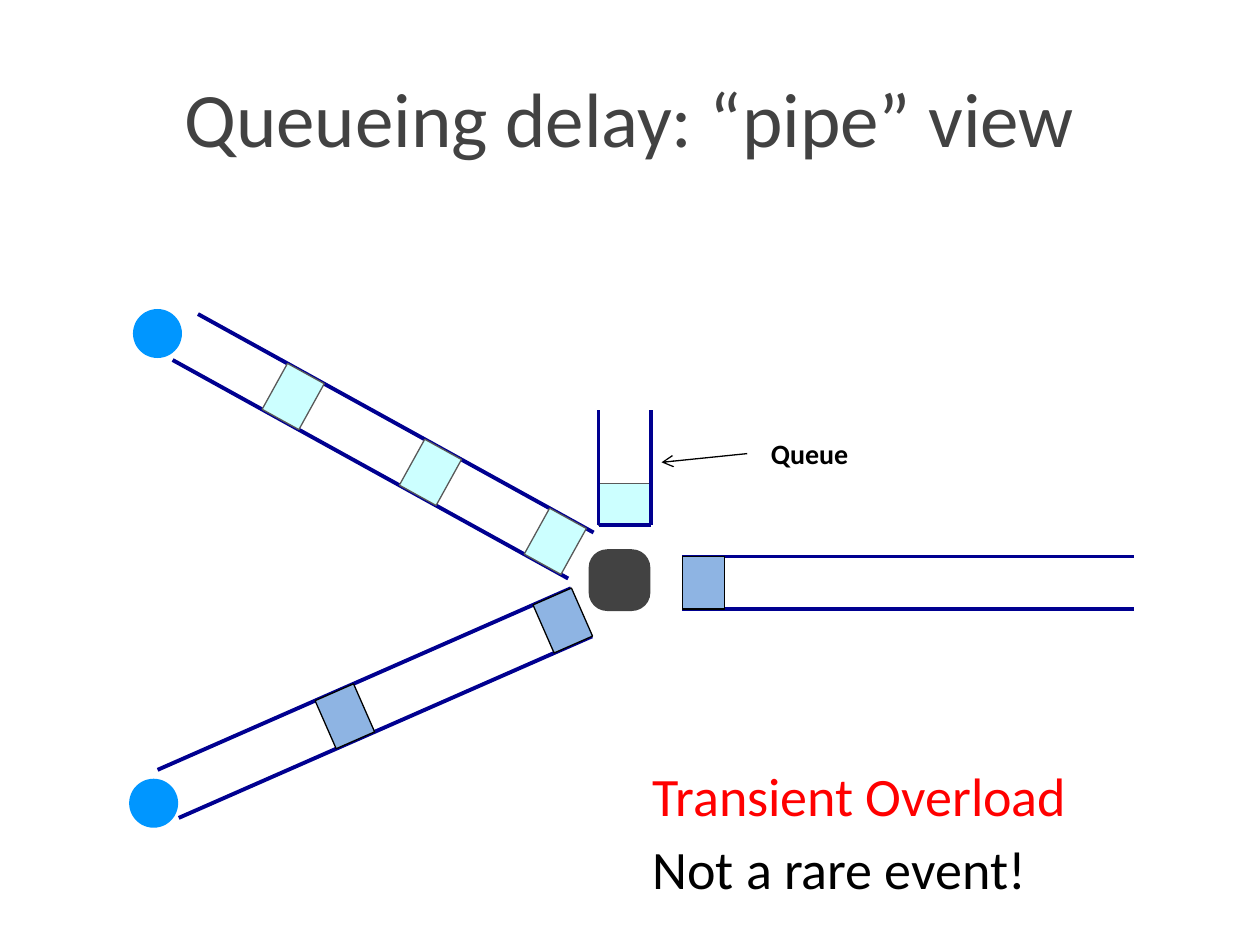
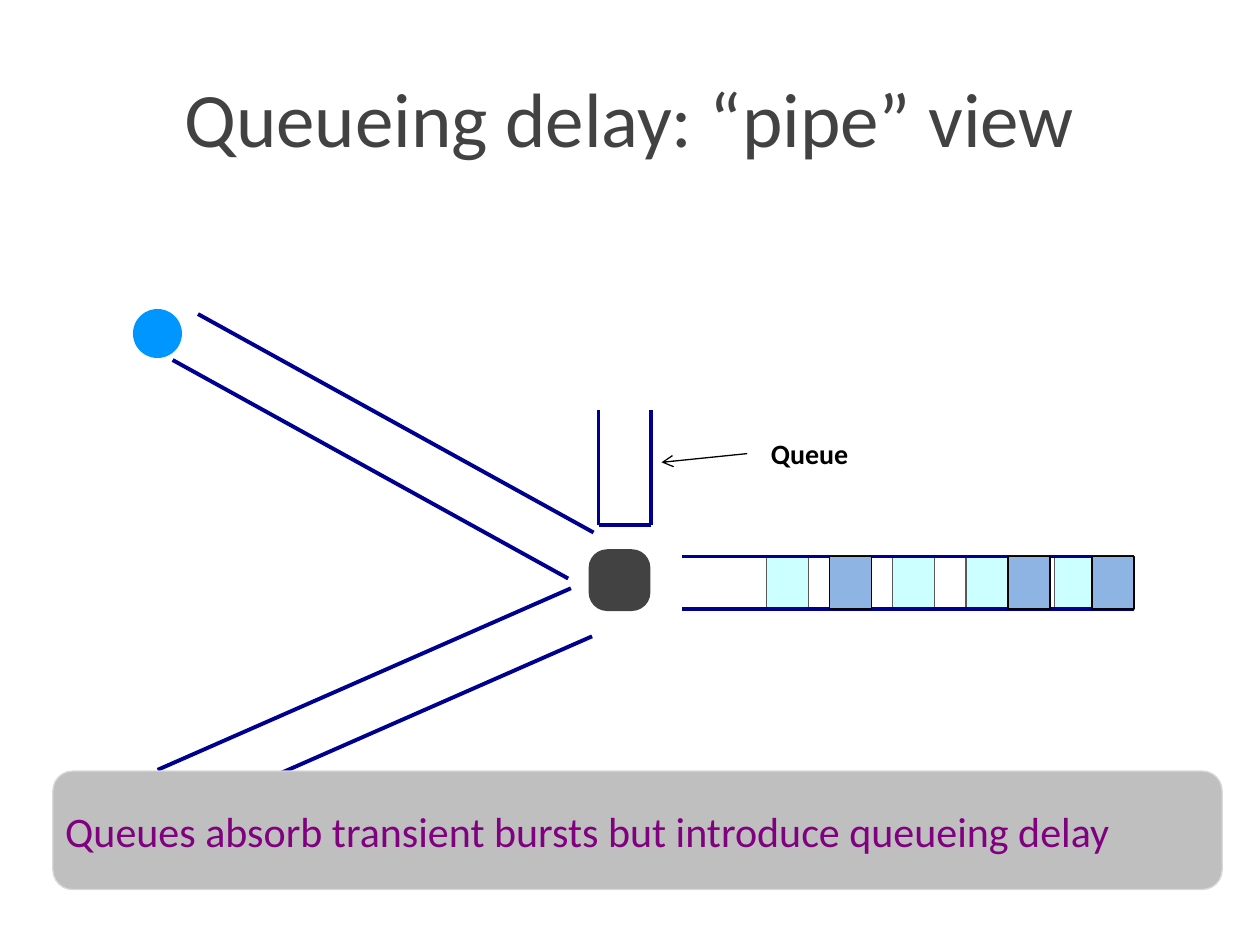
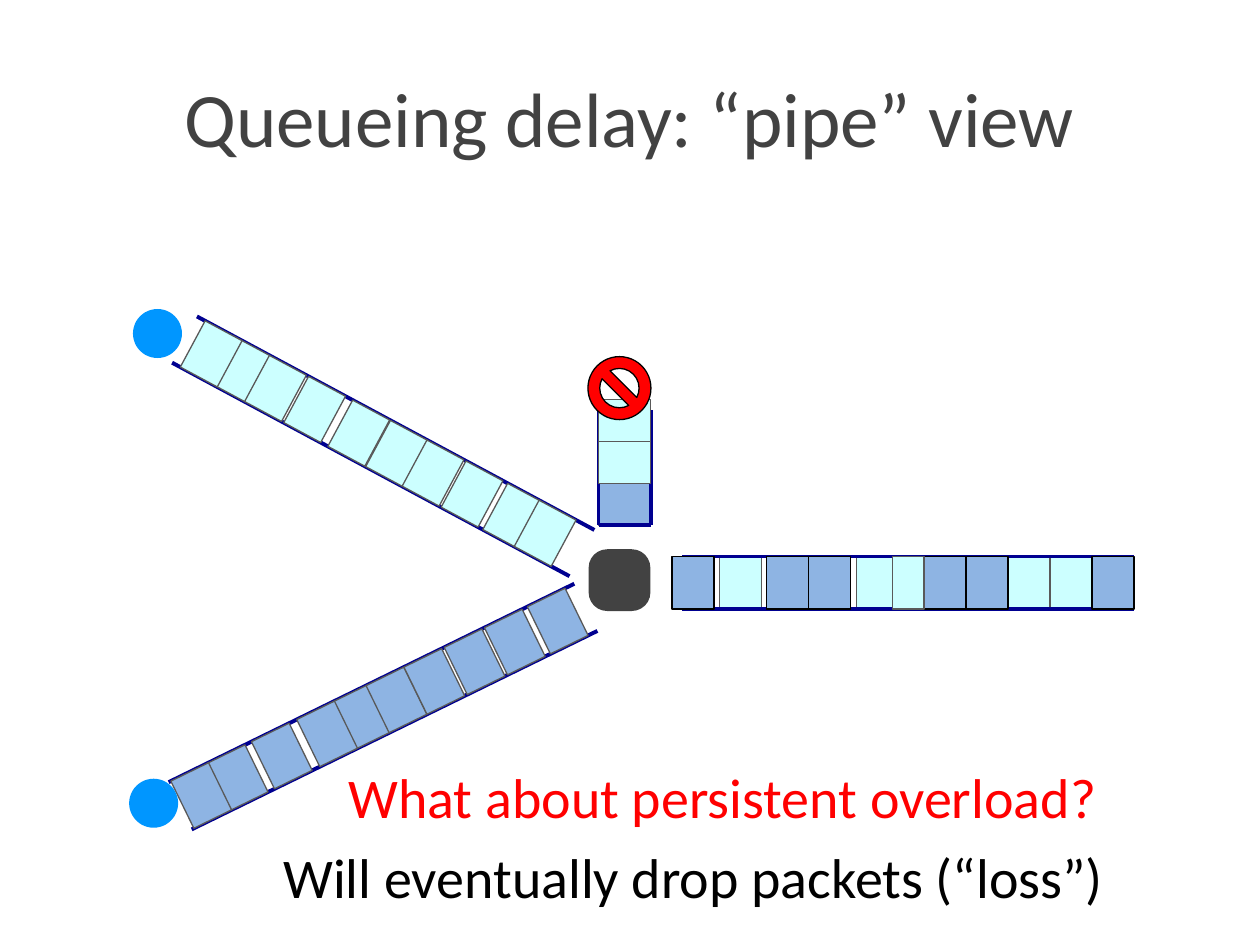
import dataclasses
import math

import lxml.etree
import pptx
import pptx.dml.color
import pptx.enum.shapes
import pptx.enum.text
import pptx.oxml.ns
import pptx.util

Pt = pptx.util.Pt
SHAPE = pptx.enum.shapes.MSO_SHAPE
ALIGN = pptx.enum.text.PP_ALIGN
ANCHOR = pptx.enum.text.MSO_ANCHOR
FIT = pptx.enum.text.MSO_AUTO_SIZE


@dataclasses.dataclass(frozen=True)
class Theme:
    font: str = "Calibri"
    # Colours
    heading: str = "424242"
    ink: str = "000000"
    alert: str = "FF0000"
    lesson: str = "800080"
    pipe: str = "000090"
    host: str = "0096FF"
    cyan: str = "CCFFFF"
    blue: str = "8EB4E3"
    grey_edge: str = "595959"
    band: str = "BFBFBF"
    band_edge: str = "D9D9D9"
    # Type sizes
    title_size: float = 44
    remark_size: float = 30.9
    question_size: float = 32
    lesson_size: float = 24
    label_size: float = 16
    # Line weights
    wall: float = 2.25
    thin: float = 0.75
    hairline: float = 0.5


THEME = Theme()

# Packets are as tall as the pipes are wide
PACKET_LENGTH, PIPE_WIDTH = 24, 30

# Centre lines of the pipes
UPPER = (105.9, 192.6), (331.95, 317.45)
LOWER = (96.1, 453.65), (332.3, 349.9)
FULL_UPPER = (105.45, 194.05), (332.55, 316.05)
FULL_LOWER = (102.95, 460.45), (334.8, 347.05)
OUTPUT = (390, 333), (648, 333)
QUEUE = (357, 300), (357, 234)

UPPER_HOST, LOWER_HOST, ROUTER = (90, 190.6), (87.8, 459), (354, 331.5)


def rgb(colour):
    return pptx.dml.color.RGBColor.from_string(colour)


def assign(target, values):
    for name, value in values.items():
        setattr(target, name, value)


class PipeDeck:
    """Holds the theme and the slide being drawn."""

    def __init__(self, theme):
        self.theme = theme
        self.deck = pptx.Presentation()
        assign(self.deck, {"slide_width": Pt(720), "slide_height": Pt(540)})
        self.slide = None

    def add_words(self, frame, words, size, colour, bold=False, align=ALIGN.LEFT):
        paragraph = frame.paragraphs[0]
        paragraph.alignment = align
        run = paragraph.add_run()
        run.text = words
        assign(run.font, {"name": self.theme.font, "size": Pt(size), "bold": bold})
        run.font.color.rgb = rgb(colour)

    def start(self, heading):
        self.slide = self.deck.slides.add_slide(self.deck.slide_layouts[5])
        title = self.slide.shapes.title
        assign(title, {"left": Pt(36), "top": Pt(21.6), "width": Pt(648), "height": Pt(90)})
        title.text_frame.vertical_anchor = ANCHOR.MIDDLE
        self.add_words(title.text_frame, heading, self.theme.title_size, self.theme.heading,
                       align=ALIGN.CENTER)

    def text(self, left, top, width, height, words, size, colour, wrap=True, **style):
        frame = self.slide.shapes.add_textbox(Pt(left), Pt(top), Pt(width), Pt(height)).text_frame
        assign(frame, {"word_wrap": wrap, "auto_size": FIT.SHAPE_TO_FIT_TEXT})
        self.add_words(frame, words, size, colour, **style)

    def shape(self, kind, centre, width, height, fill, edge=None, weight=None, turn=0):
        x, y = centre
        figure = self.slide.shapes.add_shape(kind, Pt(x - width / 2), Pt(y - height / 2),
                                             Pt(width), Pt(height))
        figure.shadow.inherit = False
        figure.rotation = turn % 360
        figure.fill.solid()
        figure.fill.fore_color.rgb = rgb(fill)
        if edge:
            figure.line.color.rgb = rgb(edge)
            figure.line.width = Pt(weight or self.theme.thin)
        else:
            figure.line.fill.background()
        return figure

    def line(self, begin, end, colour, weight, arrow=False):
        connector = self.slide.shapes.add_connector(
            pptx.enum.shapes.MSO_CONNECTOR.STRAIGHT, *map(Pt, (*begin, *end)))
        connector.line.color.rgb = rgb(colour)
        connector.line.width = Pt(weight)
        qn = pptx.oxml.ns.qn
        properties = connector.element.spPr
        if arrow:
            lxml.etree.SubElement(properties.find(qn("a:ln")), qn("a:tailEnd"), type="arrow")
        lxml.etree.SubElement(properties, qn("a:effectLst"))

    def pipe(self, axis):
        """Two walls, each half a pipe width away from the centre line."""
        (x1, y1), (x2, y2) = axis
        length = math.dist(*axis)
        dx = (y2 - y1) / length * PIPE_WIDTH / 2
        dy = (x1 - x2) / length * PIPE_WIDTH / 2
        for side in (1, -1):
            self.line((x1 + side * dx, y1 + side * dy), (x2 + side * dx, y2 + side * dy),
                      self.theme.pipe, self.theme.wall)

    def packets(self, axis, distances, fill, edge, weight=None, length=PACKET_LENGTH):
        """Packets centred at the given distances along the centre line."""
        (x1, y1), (x2, y2) = axis
        angle = math.atan2(y2 - y1, x2 - x1)
        for distance in distances:
            centre = x1 + distance * math.cos(angle), y1 + distance * math.sin(angle)
            self.shape(SHAPE.RECTANGLE, centre, length, PIPE_WIDTH, fill, edge, weight,
                       math.degrees(angle))

    def cyan_packets(self, axis, distances, **style):
        self.packets(axis, distances, self.theme.cyan, self.theme.grey_edge, **style)

    def blue_packets(self, axis, distances, edge=None, **style):
        self.packets(axis, distances, self.theme.blue, edge or self.theme.ink, **style)

    def queue(self):
        self.pipe(QUEUE)
        self.line((342, 300), (372, 300), self.theme.pipe, self.theme.wall)

    def queue_label(self):
        self.text(427, 246.2, 64.8, 26.6, "Queue", self.theme.label_size, self.theme.ink,
                  wrap=False, bold=True, align=ALIGN.RIGHT)
        self.line((427, 259.2), (378, 264.2), self.theme.ink, self.theme.thin, arrow=True)

    def nodes(self, *hosts):
        for host in hosts:
            self.shape(SHAPE.OVAL, host, 28, 28, self.theme.host)
        router = self.shape(SHAPE.ROUNDED_RECTANGLE, ROUTER, 35.3, 35.3, self.theme.heading)
        router.adjustments[0] = 0.3


HEADING = "Queueing delay: “pipe” view"
view = PipeDeck(THEME)

# Slide 1: transient overload
view.start(HEADING)
view.pipe(UPPER)
view.cyan_packets(UPPER, (241.5, 160, 70.4))
view.pipe(LOWER)
view.blue_packets(LOWER, (110.3, 246.3))
view.cyan_packets(QUEUE, (12,), weight=THEME.hairline)
view.queue()
view.queue_label()
view.pipe(OUTPUT)
view.blue_packets(OUTPUT, (12,))
view.nodes(UPPER_HOST, LOWER_HOST)
for top, remark, colour in ((432, "Transient Overload", THEME.alert),
                            (473.8, "Not a rare event!", THEME.ink)):
    view.text(365.8, top, 336, 44.6, remark, THEME.remark_size, colour)

# Slide 2: the burst is absorbed
view.start(HEADING)
view.pipe(UPPER)
view.pipe(LOWER)
view.cyan_packets(OUTPUT, (224.6, 174, 132, 60))
view.pipe(OUTPUT)
view.blue_packets(OUTPUT, (96, 246, 198))
view.queue()
view.queue_label()
view.nodes(UPPER_HOST)
view.shape(SHAPE.ROUNDED_RECTANGLE, (364.3, 474.5), 668.2, 67.7, THEME.band, THEME.band_edge)
view.text(30.2, 456.5, 680, 36, "Queues absorb transient bursts but introduce queueing delay",
          THEME.lesson_size, THEME.lesson)

# Slide 3: persistent overload
view.start(HEADING)
view.pipe(FULL_UPPER)
view.cyan_packets(FULL_UPPER, (213.5, 186.5, 113, 35.3, 59, 84.4, 137.5, 161.2, 17.3, 233.9))
view.pipe(FULL_LOWER)
view.blue_packets(FULL_LOWER,
                  (212.9, 187.3, 114.4, 36.6, 64.7, 93.5, 137.6, 161.7, 13.4, 240.2),
                  edge=THEME.grey_edge)
view.cyan_packets(OUTPUT, (222, 198, 111.6, 33.1))
view.pipe(OUTPUT)
view.blue_packets(OUTPUT, (60, 246, 150, 174, 84, 6))
view.cyan_packets(OUTPUT, (129,), length=18)
view.blue_packets(QUEUE, (12,), edge=THEME.grey_edge, weight=THEME.hairline)
view.queue()
view.cyan_packets(QUEUE, (36, 60), weight=THEME.hairline)
view.shape(SHAPE.NO_SYMBOL, (354, 221.8), 36, 36, THEME.alert, THEME.ink)
view.nodes(UPPER_HOST, LOWER_HOST)
view.text(192, 432, 528, 46.8, "What about persistent overload?",
          THEME.question_size, THEME.alert)
view.text(154.8, 478.1, 565.2, 46, "Will eventually drop packets (“loss”)",
          THEME.question_size, THEME.ink)

view.deck.save("out.pptx")
